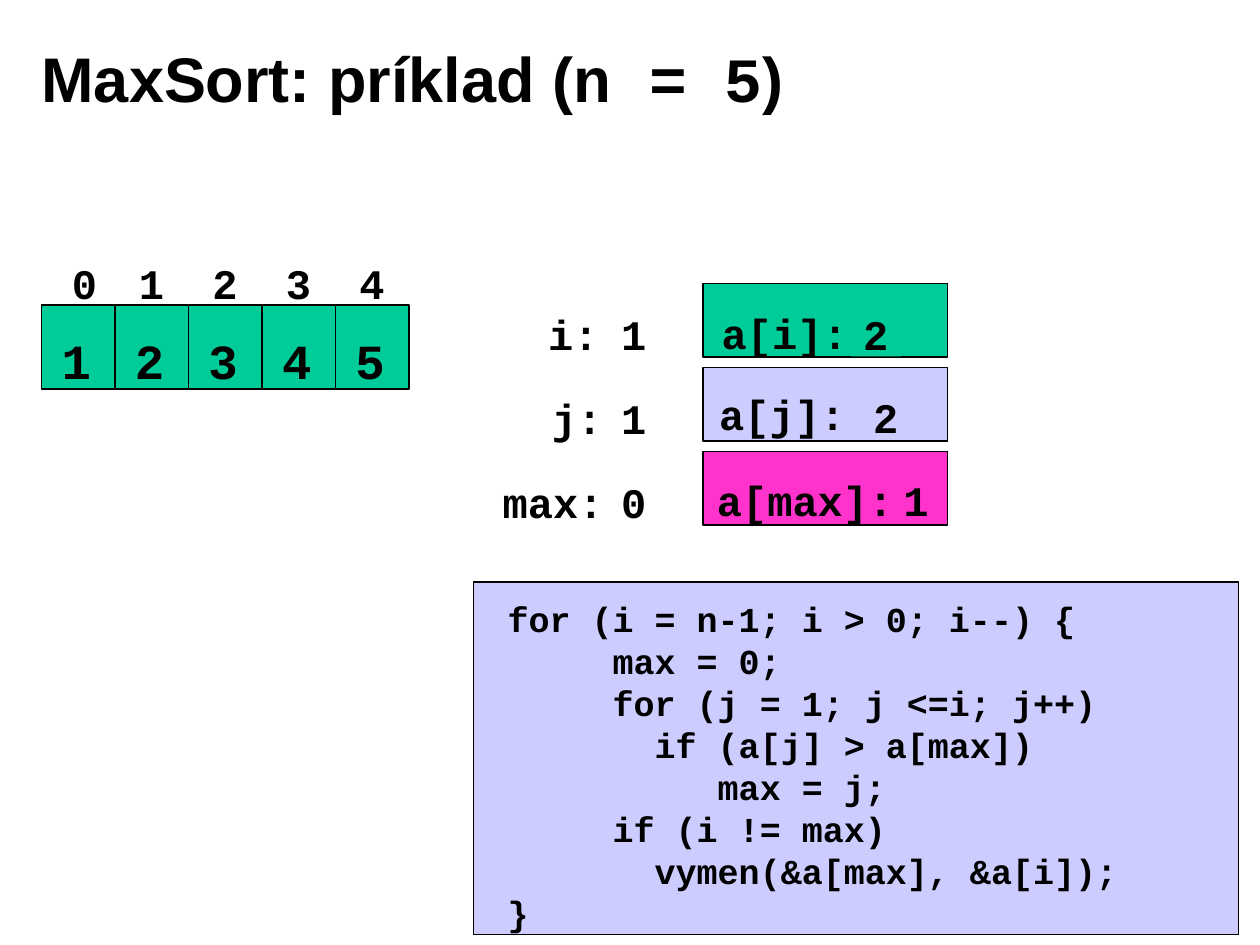
from pptx import Presentation
from pptx.dml.color import RGBColor
from pptx.enum.shapes import MSO_SHAPE
from pptx.enum.text import MSO_ANCHOR, PP_ALIGN
from pptx.util import Inches, Pt

RECTANGLE = MSO_SHAPE.RECTANGLE
LEFT, CENTER = PP_ALIGN.LEFT, PP_ALIGN.CENTER
TOP, MIDDLE = MSO_ANCHOR.TOP, MSO_ANCHOR.MIDDLE
GREEN, LILAC, PINK, BLACK = "00CC99", "CCCCFF", "FF33CC", "000000"
MONO = "Courier New"

# Grid: array columns and variable rows, in inches
COLUMN, ROW = 7 / 12, 2 / 3
ARRAY_LEFT, ARRAY_TOP = 0.33, 2.42
PANEL_LEFT, PANEL_TOP = 5.58, 2.25

presentation = Presentation()
presentation.slide_width, presentation.slide_height = Inches(10), Inches(7.5)
slide = presentation.slides.add_slide(presentation.slide_layouts[5])


def add_box(left, top, width, height, fill):
    shape = slide.shapes.add_shape(
        RECTANGLE, Inches(left), Inches(top), Inches(width), Inches(height))
    shape.shadow.inherit = False
    shape.fill.solid()
    shape.fill.fore_color.rgb = RGBColor.from_string(fill)
    shape.line.color.rgb = RGBColor.from_string(BLACK)
    shape.line.width = Pt(0.75)


def add_text(text, left, top, width, height, size=24, align=CENTER, fill=None,
             inset=0.0, inset_top=0.12, pitch=None):
    shape = slide.shapes.add_textbox(
        Inches(left), Inches(top), Inches(width), Inches(height))
    if fill:
        shape.fill.solid()
        shape.fill.fore_color.rgb = RGBColor.from_string(fill)
    frame = shape.text_frame
    frame.word_wrap = True
    frame.vertical_anchor = TOP
    frame.margin_left, frame.margin_right = Inches(inset), 0
    frame.margin_top, frame.margin_bottom = Inches(inset_top), 0
    frame.text = text
    for paragraph in frame.paragraphs:
        paragraph.alignment = align
        if pitch:
            paragraph.line_spacing = Pt(pitch)
        for run in paragraph.runs:
            run.font.name, run.font.size, run.font.bold = MONO, Pt(size), True
            run.font.color.rgb = RGBColor.from_string(BLACK)


# Title
title = slide.shapes.title
title.left, title.top = Inches(0.23), Inches(0.15)
title.width, title.height = Inches(8.03), Inches(0.93)
title.text_frame.vertical_anchor = MIDDLE
title.text_frame.word_wrap = True
paragraph = title.text_frame.paragraphs[0]
paragraph.alignment = LEFT
for text, font_name in (("MaxSort: príklad (", "Arial"), ("n = 5", MONO), (")", "Arial")):
    run = paragraph.add_run()
    run.text = text
    run.font.name, run.font.size, run.font.bold = font_name, Pt(36), True
    run.font.color.rgb = RGBColor.from_string(BLACK)

# Array: index above each cell, value inside
for index, value in enumerate("12345"):
    left = ARRAY_LEFT + index * COLUMN
    add_box(left, ARRAY_TOP, COLUMN, ROW, GREEN)
    add_text(value, left + 0.06, ARRAY_TOP + 0.08, 0.43, 0.57, size=28)
    index_left = left + (0.14 if index == 0 else 0.09)
    add_text(str(index), index_left, ARRAY_TOP - 0.5, 0.4, 0.5)

# Variables on the left, the elements they point at on the right
variables = [
    # name, name left, name width, value, colour, label left, label top,
    # label width, label alignment, element, element left, element top
    ("i:", 4.25, 0.6, "1", GREEN, 5.63, 2.32, 1.4, LEFT, "2", 6.75, 2.33),
    ("j:", 4.28, 0.6, "1", LILAC, 5.61, 2.96, 1.4, LEFT, "2", 6.83, 2.99),
    ("max:", 3.89, 1.0, "0", PINK, 5.59, 3.65, 1.6, CENTER, "1", 7.07, 3.65),
]
for row, (name, name_left, name_width, value, colour, label_left, label_top,
          label_width, align, element, element_left, element_top) in enumerate(variables):
    top = PANEL_TOP + row * ROW
    add_text(name, name_left, top + 0.08, name_width, 0.5)
    add_text(value, 4.83, top + 0.08, 0.4, 0.5)
    add_box(PANEL_LEFT, top, 1.94, COLUMN, colour)
    add_text(f"a[{name[:-1]}]:", label_left, label_top, label_width, 0.5,
             align=align, inset=0.1 if align == LEFT else 0)
    add_text(element, element_left, element_top, 0.4, 0.5, fill=colour)

# Code listing
code = """for (i = n-1; i > 0; i--) {
     max = 0;
     for (j = 1; j <=i; j++)
       if (a[j] > a[max])
          max = j;
     if (i != max)
       vymen(&a[max], &a[i]);
}"""
add_box(3.76, 4.62, 6.07, 2.8, LILAC)
add_text(code, 3.93, 4.65, 5.67, 2.77, size=20, align=LEFT,
         inset=0.1, inset_top=0.09, pitch=24)

presentation.save("out.pptx")
